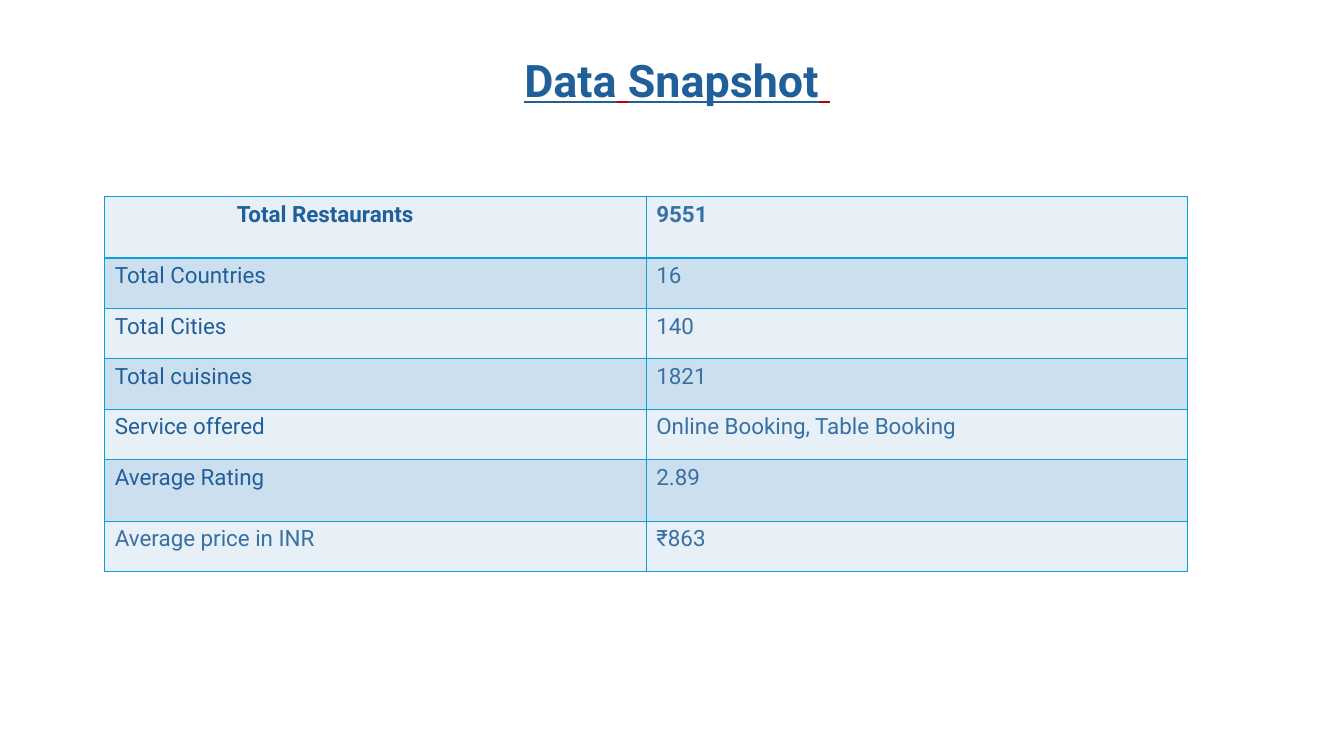
from lxml.etree import SubElement
from pptx import Presentation
from pptx.dml.color import RGBColor
from pptx.enum.text import MSO_ANCHOR, PP_ALIGN
from pptx.oxml.ns import qn
from pptx.util import Inches, Pt

# Content
TITLE = ["Data", " ", "Snapshot", " "]
ROWS = [
    ("Total Restaurants", "9551"),
    ("Total Countries", "16"),
    ("Total Cities", "140"),
    ("Total cuisines", "1821"),
    ("Service offered", "Online Booking, Table Booking"),
    ("Average Rating", "2.89"),
    ("Average price in INR", "₹863"),
]
THEME = {
    "font": "Roboto", "title": 32, "body": 16,
    "dark": "215F9A", "soft": "3970A3", "red": "C00000",
    "line": "0F9ED5", "bands": ("E7F0F7", "CCDFEF"),
}

# Layout
LEFT, TOP, COL = 1.04, 1.95, 5.37
ROW, TALL = 0.5, 0.61
TALL_ROWS = (0, 5)
INDENT = 1.31


def write(para, text, size, color, bold=False, line=None):
    run = para.add_run()
    run.text = text
    font = run.font
    font.name, font.size = THEME["font"], Pt(size)
    font.bold, font.underline = bold, line
    font.color.rgb = RGBColor.from_string(color)


def border(cell):
    props = cell._tc.get_or_add_tcPr()
    for i, side in enumerate(("lnL", "lnR", "lnT", "lnB")):
        edge = props.makeelement(qn("a:" + side), {"w": str(Pt(1))})
        fill = SubElement(edge, qn("a:solidFill"))
        SubElement(fill, qn("a:srgbClr"), val=THEME["line"])
        props.insert(i, edge)


def main():
    deck = Presentation()
    deck.slide_width, deck.slide_height = Inches(13.33), Inches(7.5)
    slide = deck.slides.add_slide(deck.slide_layouts[5])

    # Title
    title = slide.shapes.title
    title.left, title.top = Inches(4.21), Inches(0.47)
    title.width, title.height = Inches(4.13), Inches(0.99)
    frame = title.text_frame
    frame.vertical_anchor = MSO_ANCHOR.TOP
    frame.margin_left, frame.margin_right = Inches(0.99), 0
    para = frame.paragraphs[0]
    para.alignment = PP_ALIGN.LEFT
    for word in TITLE:
        color = THEME["dark"] if word.strip() else THEME["red"]
        write(para, word, THEME["title"], color, bold=True, line=True)

    # Table
    highs = [TALL if r in TALL_ROWS else ROW for r in range(len(ROWS))]
    table = slide.shapes.add_table(
        len(ROWS), 2, Inches(LEFT), Inches(TOP),
        Inches(2 * COL), Inches(sum(highs))).table
    for col in table.columns:
        col.width = Inches(COL)
    for r, (row, high) in enumerate(zip(ROWS, highs)):
        table.rows[r].height = Inches(high)
        for c, text in enumerate(row):
            cell = table.cell(r, c)
            cell.fill.solid()
            cell.fill.fore_color.rgb = RGBColor.from_string(THEME["bands"][r % 2])
            border(cell)
            label = c == 0 and r < len(ROWS) - 1
            color = THEME["dark"] if label else THEME["soft"]
            write(cell.text_frame.paragraphs[0], text, THEME["body"], color,
                  bold=r == 0)
    table.cell(0, 0).margin_left = Inches(INDENT)

    deck.save("out.pptx")


if __name__ == "__main__":
    main()
